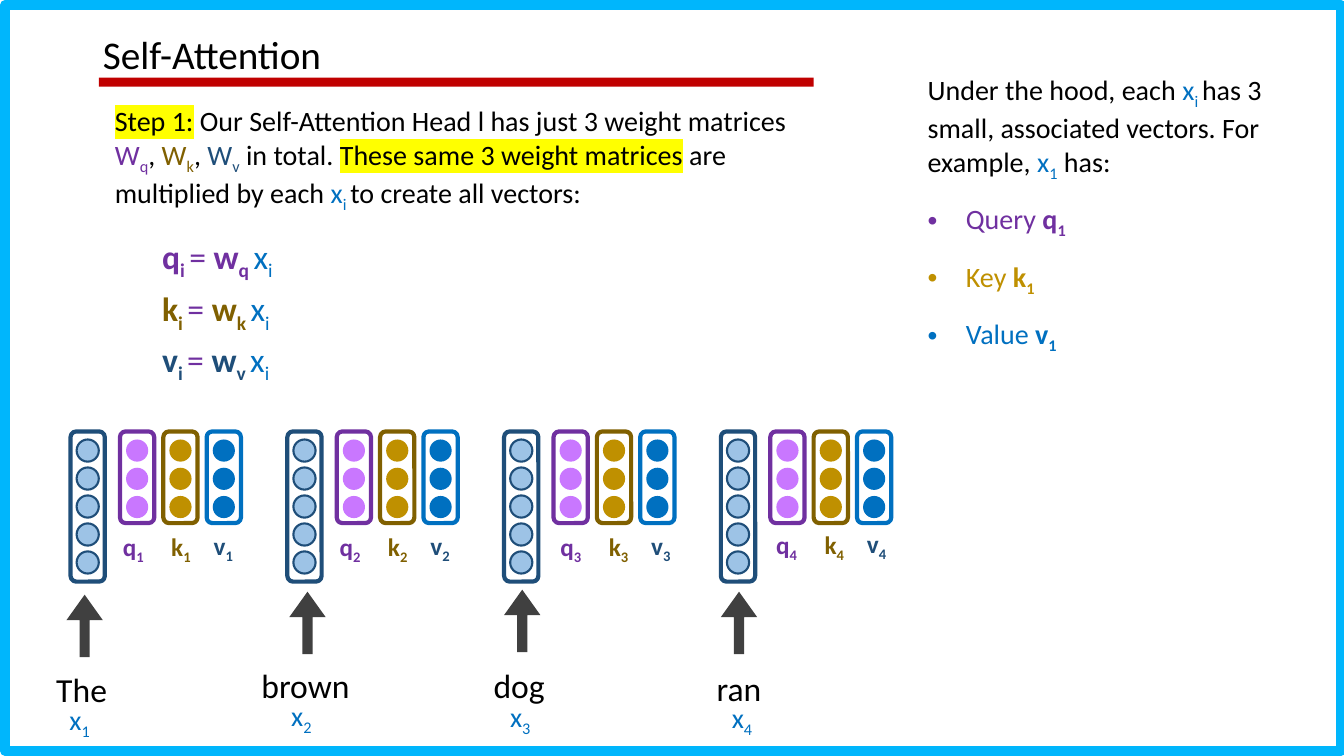
from dataclasses import dataclass

import lxml.etree
import pptx
import pptx.dml.color
import pptx.enum.shapes
import pptx.enum.text
import pptx.oxml.ns
import pptx.util

Inches = pptx.util.Inches
RGBColor = pptx.dml.color.RGBColor
Shape = pptx.enum.shapes.MSO_SHAPE
Align = pptx.enum.text.PP_ALIGN
AutoSize = pptx.enum.text.MSO_AUTO_SIZE

BLACK = RGBColor(0x00, 0x00, 0x00)
SKY = RGBColor(0x00, 0xB6, 0xFC)
RED = RGBColor(0xC0, 0x00, 0x00)
GRAY = RGBColor(0x40, 0x40, 0x40)
PURPLE = RGBColor(0x70, 0x30, 0xA0)
LILAC = RGBColor(0xC9, 0x77, 0xFF)
OLIVE = RGBColor(0x80, 0x60, 0x00)
GOLD = RGBColor(0xBF, 0x90, 0x00)
BLUE = RGBColor(0x00, 0x70, 0xC0)
NAVY = RGBColor(0x1F, 0x4E, 0x79)
PALE_BLUE = RGBColor(0x9D, 0xC3, 0xE6)
YELLOW = RGBColor(0xFF, 0xFF, 0x00)


@dataclass
class Token:
    """A word and the (x, y) offsets of its parts from its column's corner."""
    word: str
    arrow: tuple
    word_offset: tuple
    input_offset: tuple
    label_offset: tuple
    word_width: float = 1.36
    alignment: Align = Align.CENTER


TOKENS = [
    Token("The", (-0.04, 1.62), (-0.31, 2.23), (-0.11, 2.64), (0.42, 0.94), 0.77, Align.RIGHT),
    Token("brown", (0.02, 1.59), (-0.5, 2.19), (-0.06, 2.6), (0.42, 0.94)),
    Token("dog", (0, 1.57), (-0.53, 2.19), (-0.04, 2.61), (0.46, 0.94)),
    Token("ran", (0, 1.59), (-0.5, 2.22), (0.01, 2.62), (0.45, 0.92)),
]
# letter, outline, dots, label colour, label x and y shift, label width
VECTORS = [
    ("q", PURPLE, LILAC, PURPLE, 0, 0, 0.45),
    ("k", OLIVE, GOLD, OLIVE, 0.48, 0, 0.43),
    ("v", BLUE, BLUE, NAVY, 0.9, -0.01, 0.42),
]


def add_run(paragraph, text, color=BLACK, size=20, bold=False, subscript=False, highlight=None):
    run = paragraph.add_run()
    run.text = text
    run.font.size = pptx.util.Pt(size)
    run.font.bold = bold
    run.font.color.rgb = color
    properties = run.font._element
    if highlight is not None:
        marker = lxml.etree.SubElement(properties, pptx.oxml.ns.qn("a:highlight"))
        lxml.etree.SubElement(marker, pptx.oxml.ns.qn("a:srgbClr"), val=str(highlight))
    if subscript:
        properties.set("baseline", "-25000")
    run.font.name = "Calibri"


def add_symbol(paragraph, letter, index, color, **style):
    """Write a letter followed by its subscript."""
    add_run(paragraph, letter, color, **style)
    add_run(paragraph, index, color, subscript=True, **style)


def add_text_box(slide, left, top, width, height, wrap=True):
    """Return the first paragraph of a new text box."""
    box = slide.shapes.add_textbox(Inches(left), Inches(top), Inches(width), Inches(height))
    box.text_frame.word_wrap = wrap
    box.text_frame.auto_size = AutoSize.NONE if wrap else AutoSize.SHAPE_TO_FIT_TEXT
    return box.text_frame.paragraphs[0]


def add_plain_shape(shapes, kind, left, top, width, height, fill=None, line=None, weight=1):
    shape = shapes.add_shape(kind, Inches(left), Inches(top), Inches(width), Inches(height))
    shape.shadow.inherit = False
    if fill is None:
        shape.fill.background()
    else:
        shape.fill.solid()
        shape.fill.fore_color.rgb = fill
    if line is None:
        shape.line.fill.background()
    else:
        shape.line.color.rgb = line
        shape.line.width = pptx.util.Pt(weight)
    return shape


def place(shape, left, top, width, height):
    shape.left, shape.top = Inches(left), Inches(top)
    shape.width, shape.height = Inches(width), Inches(height)


def add_heading(slide, left, top, width, height):
    add_plain_shape(slide.shapes, Shape.RECTANGLE, left + 0.06, top + 0.47, 7.09, 0.09, fill=RED)
    title = slide.shapes.title
    place(title, left, top, width, height)
    title.text_frame.vertical_anchor = pptx.enum.text.MSO_ANCHOR.TOP
    title.text_frame.auto_size = AutoSize.NONE
    paragraph = title.text_frame.paragraphs[0]
    paragraph.alignment = Align.LEFT
    paragraph.line_spacing = 0.9
    add_run(paragraph, "Self-Attention", size=28)


def add_step(slide, left, top, width, height):
    paragraph = add_text_box(slide, left, top, width, height)
    add_run(paragraph, "Step 1:", highlight=YELLOW)
    add_run(paragraph, " Our Self-Attention Head l has just 3 weight matrices ")
    for (letter, _, _, color, *_), separator in zip(VECTORS, (", ", ", ", " in total. ")):
        add_symbol(paragraph, "W", letter, color)
        add_run(paragraph, separator)
    add_run(paragraph, "These same 3 weight matrices", highlight=YELLOW)
    add_run(paragraph, " are multiplied by each ")
    add_symbol(paragraph, "x", "i ", BLUE)
    add_run(paragraph, "to create all vectors:")


def add_equations(slide, left, top, width):
    for (letter, _, _, color, *_), shift in zip(VECTORS, (0, 0.52, 1.02)):
        paragraph = add_text_box(slide, left, top + shift, width, 0.5)
        add_symbol(paragraph, letter, "i ", color, size=24, bold=True)
        add_run(paragraph, "= ", PURPLE, size=24)
        add_symbol(paragraph, "w", letter + " ", color, size=24, bold=True)
        add_symbol(paragraph, "x", "i", BLUE, size=24)


def set_bullet(paragraph, bulleted):
    properties = paragraph._p.get_or_add_pPr()
    indent = Inches(0.38) if bulleted else 0
    properties.set("marL", str(indent))
    properties.set("indent", str(-indent))
    if bulleted:
        lxml.etree.SubElement(properties, pptx.oxml.ns.qn("a:buChar"), char="•")
    else:
        lxml.etree.SubElement(properties, pptx.oxml.ns.qn("a:buNone"))


def add_vector_list(slide, left, top, width, height):
    body = slide.placeholders[1]
    place(body, left, top, width, height)
    body.text_frame.auto_size = AutoSize.NONE
    introduction = body.text_frame.paragraphs[0]
    introduction.space_before = pptx.util.Pt(0)
    set_bullet(introduction, False)
    add_run(introduction, "Under the hood, each ")
    add_symbol(introduction, "x", "i ", BLUE)
    add_run(introduction, "has 3 small, associated vectors. For example, ")
    add_symbol(introduction, "x", "1", BLUE)
    add_run(introduction, " has:")
    for name, letter, color in (("Query ", "q", PURPLE), ("Key ", "k", GOLD), ("Value ", "v", BLUE)):
        paragraph = body.text_frame.add_paragraph()
        paragraph.line_spacing = 1.5
        paragraph.space_before = pptx.util.Pt(0)
        set_bullet(paragraph, True)
        add_run(paragraph, name, color)
        add_symbol(paragraph, letter, "1", color, bold=True)


def add_vector(slide, left, top, height, count, outline, fill, dot_line=None):
    """Draw a rounded frame around a column of dots."""
    shapes = slide.shapes.add_group_shape().shapes
    add_plain_shape(shapes, Shape.ROUNDED_RECTANGLE, left, top, 0.34, height, line=outline, weight=3)
    pitch = (height - 0.38) / (count - 1) if count > 3 else 0.28
    for row in range(count):
        add_plain_shape(shapes, Shape.OVAL, left + 0.06, top + 0.08 + row * pitch, 0.22, 0.22,
                        fill=fill, line=dot_line, weight=1.5)


def add_token(slide, token, number, left, top):
    def at(offset):
        return left + offset[0], top + offset[1]

    add_vector(slide, left, top, 1.49, 5, NAVY, PALE_BLUE, NAVY)
    label_left, label_top = at(token.label_offset)
    for column, (letter, outline, fill, color, shift_x, shift_y, width) in enumerate(VECTORS):
        add_vector(slide, left + 0.49 + column * 0.43, top, 0.91, 3, outline, fill)
        label = add_text_box(slide, label_left + shift_x, label_top + shift_y, width, 0.4, wrap=False)
        add_symbol(label, letter, str(number), color, size=18, bold=True)
    arrow = add_plain_shape(slide.shapes, Shape.UP_ARROW, *at(token.arrow), 0.36, 0.62, fill=GRAY)
    arrow.adjustments[0], arrow.adjustments[1] = 0.28, 0.7
    word = add_text_box(slide, *at(token.word_offset), token.word_width, 0.55)
    word.alignment = token.alignment
    word.line_spacing = 1.2
    word.space_before = pptx.util.Pt(10)
    add_run(word, token.word, size=24)
    add_symbol(add_text_box(slide, *at(token.input_offset), 0.45, 0.44, wrap=False), "x", str(number), BLUE)


def main():
    presentation = pptx.Presentation()
    presentation.slide_width, presentation.slide_height = Inches(13.33), Inches(7.5)
    slide = presentation.slides.add_slide(presentation.slide_layouts[1])
    add_plain_shape(slide.shapes, Shape.RECTANGLE, 0.05, 0.05, 13.25, 7.4, line=SKY, weight=7)
    add_heading(slide, 0.92, 0.3, 9.65, 0.68)
    add_step(slide, 1.04, 0.98, 7.09, 1.11)
    add_equations(slide, 1.51, 2.29, 1.77)
    add_vector_list(slide, 9.1, 0.67, 3.99, 2.58)
    for index, token in enumerate(TOKENS):
        add_token(slide, token, index + 1, 0.7 + index * 2.15, 4.28)
    presentation.save("out.pptx")


if __name__ == "__main__":
    main()
